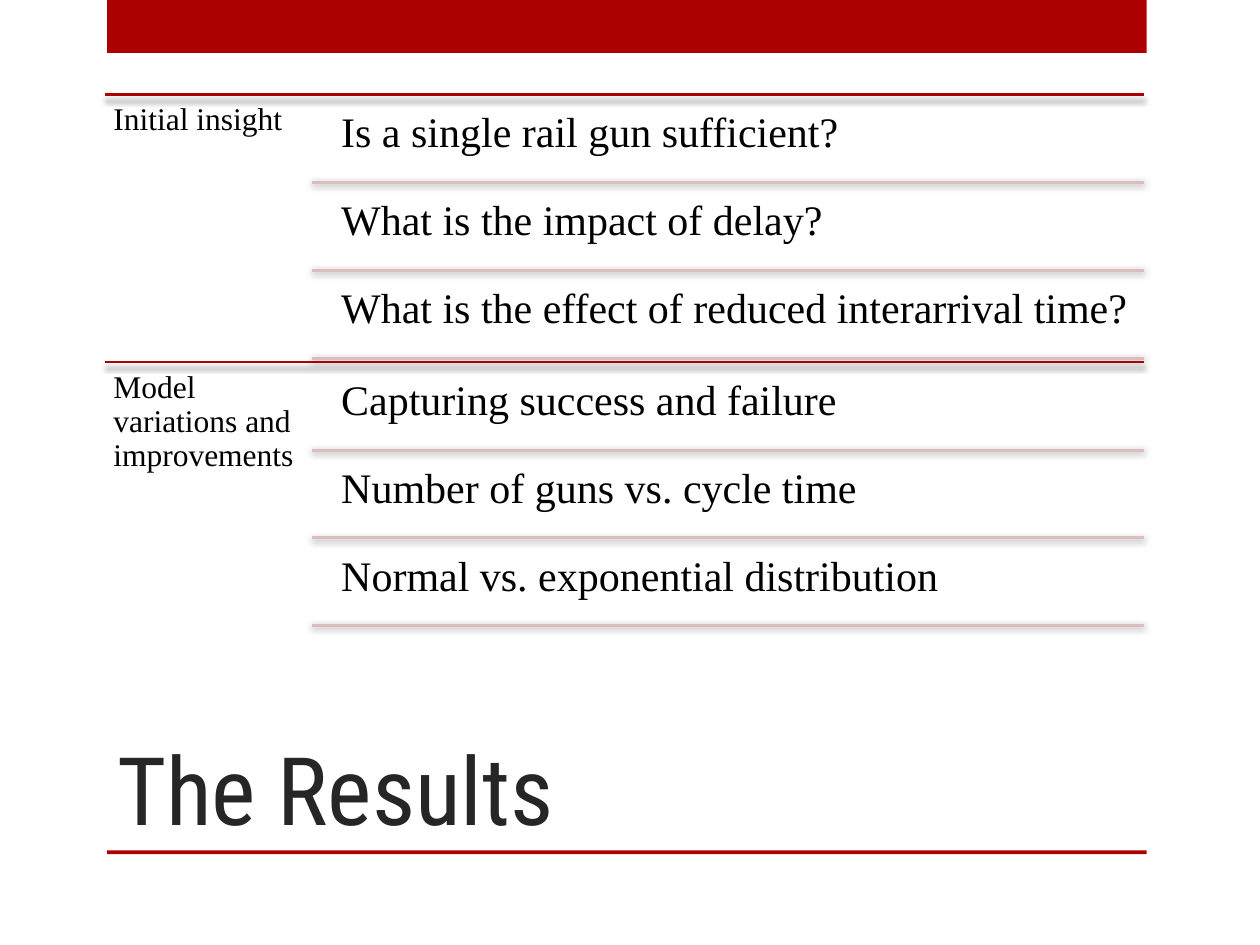
from lxml import etree
from pptx import Presentation
from pptx.dml.color import RGBColor
from pptx.enum.shapes import MSO_CONNECTOR, MSO_SHAPE
from pptx.enum.text import MSO_ANCHOR, MSO_AUTO_SIZE, PP_ALIGN
from pptx.oxml.ns import qn
from pptx.util import Inches, Pt

STRAIGHT, RECT = MSO_CONNECTOR.STRAIGHT, MSO_SHAPE.RECTANGLE
RED = RGBColor(0xAD, 0x01, 0x01)
PINK = RGBColor(0xDB, 0xBD, 0xBD)
BLACK = RGBColor(0, 0, 0)
DARK = RGBColor(0x26, 0x26, 0x26)
HEAD_FONT, BODY_FONT = "Roboto Condensed", "Times New Roman"

# Content
TITLE = "The Results"
SECTIONS = [
    ("Initial insight", [
        "Is a single rail gun sufficient?",
        "What is the impact of delay?",
        "What is the effect of reduced interarrival time?",
    ]),
    ("Model variations and improvements", [
        "Capturing success and failure",
        "Number of guns vs. cycle time",
        "Normal vs. exponential distribution",
    ]),
]

# Grid in inches: the label takes a fifth of the width, three rows per section
LEFT, TOP, WIDTH, BOTTOM = 0.83, 0.75, 8.25, 5
RIGHT = LEFT + WIDTH
LABEL_W = WIDTH / 5
ITEM_X = 2.61
SECTION_H = (BOTTOM - TOP) / len(SECTIONS)
GAP = SECTION_H / 64
ROW_H = GAP * 20
BAR_X = 0.85

# Line styles: colour, width, shadow opacity %, blur, distance, angle
SECTION_RULE = (RED, 1.25, 35, 3, 3, 90)
ITEM_RULE = (PINK, 1.75, 40, 4, 1, 88)


def add_text(shapes, text, x, y, w, h, size, inset):
    tf = shapes.add_textbox(Inches(x), Inches(y), Inches(w), Inches(h)).text_frame
    tf.word_wrap = True
    tf.margin_left = tf.margin_right = Inches(inset)
    tf.margin_top = tf.margin_bottom = Inches(inset)
    p = tf.paragraphs[0]
    p.line_spacing = 0.9
    add_run(p, text, BODY_FONT, size, BLACK)


def add_run(p, text, font, size, color):
    r = p.add_run()
    r.text = text
    r.font.name, r.font.size = font, Pt(size)
    r.font.color.rgb = color


def add_rule(shapes, x, y, style):
    color, width, alpha, blur, dist, angle = style
    line = shapes.add_connector(STRAIGHT, Inches(x), Inches(y), Inches(RIGHT), Inches(y))
    line.line.color.rgb = color
    line.line.width = Pt(width)
    effects = etree.SubElement(line._element.spPr, qn("a:effectLst"))
    shadow = etree.SubElement(effects, qn("a:outerShdw"), blurRad=str(Pt(blur)),
                              dist=str(Pt(dist)), dir=str(angle * 60000), rotWithShape="0")
    clr = etree.SubElement(shadow, qn("a:srgbClr"), val=str(BLACK))
    etree.SubElement(clr, qn("a:alpha"), val=str(alpha * 1000))


prs = Presentation()
prs.slide_width, prs.slide_height = Inches(10), Inches(7.5)
s = prs.slides.add_slide(prs.slide_layouts[5])

# Red bars at top and bottom
for y, h in [(0, 0.42), (6.75, 0.03)]:
    bar = s.shapes.add_shape(RECT, Inches(BAR_X), Inches(y), Inches(WIDTH), Inches(h))
    bar.shadow.inherit = False
    bar.fill.solid()
    bar.fill.fore_color.rgb = RED
    bar.line.fill.background()

# Title
title = s.shapes.title
title.left, title.top = Inches(LEFT), Inches(BOTTOM)
title.width, title.height = Inches(WIDTH * 0.9), Inches(1.75)
tf = title.text_frame
tf.auto_size = MSO_AUTO_SIZE.NONE
tf.vertical_anchor = MSO_ANCHOR.BOTTOM
p = tf.paragraphs[0]
p.alignment = PP_ALIGN.LEFT
add_run(p, TITLE, HEAD_FONT, 54, DARK)

# Sections: rule, label, then items each closed by a thin rule
shapes = s.shapes.add_group_shape().shapes
for i, (label, items) in enumerate(SECTIONS):
    top = TOP + i * SECTION_H
    add_rule(shapes, LEFT, top, SECTION_RULE)
    add_text(shapes, label, LEFT, top, LABEL_W, SECTION_H, 18, 0.07)
    for j, item in enumerate(items):
        y = top + GAP + j * (ROW_H + GAP)
        add_text(shapes, item, ITEM_X, y, RIGHT - ITEM_X, ROW_H, 24, 0.1)
        add_rule(shapes, LEFT + LABEL_W, y + ROW_H, ITEM_RULE)

prs.save("out.pptx")
